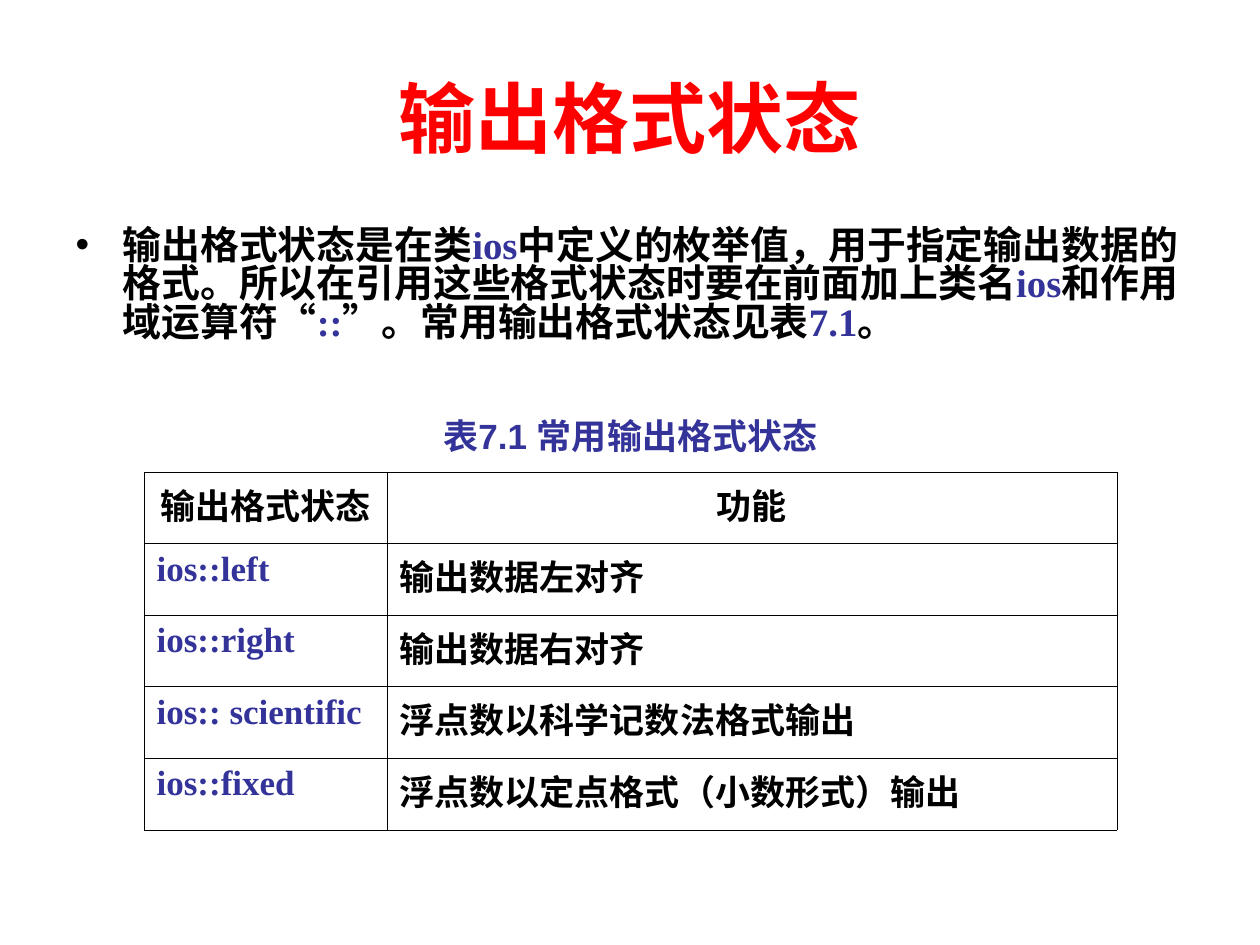
from dataclasses import dataclass

from lxml import etree
from pptx import Presentation
from pptx import util as u
from pptx.dml.color import RGBColor
from pptx.enum import text
from pptx.oxml import ns

SCALE = 914400 / 126
RED = RGBColor(0xFF, 0x00, 0x00)
BLUE = RGBColor(0x33, 0x33, 0x99)
BLACK = RGBColor(0x00, 0x00, 0x00)
SERIF = "Times New Roman"
SANS = "Arial"
ALIGN = text.PP_ALIGN


@dataclass(frozen=True)
class Box:
    left: int
    top: int
    width: int
    height: int


@dataclass(frozen=True)
class Run:
    words: str
    color: RGBColor = BLACK
    size: float = 20
    font: str = SERIF


TITLE_BOX = Box(63, 38, 1134, 158)
BODY_BOX = Box(63, 222, 1134, 183)
CAPTION_BOX = Box(146, 408, 969, 55)
TABLE_BOX = Box(144, 472, 973, 358)
COLUMNS = (243, 730)
BODY = (
    ("输出格式状态是在类", BLACK),
    ("ios", BLUE),
    ("中定义的枚举值，用于指定输出数据的格式。所以在引用这些格式状态时要在前面加上类名", BLACK),
    ("ios", BLUE),
    ("和作用域运算符“", BLACK),
    ("::", BLUE),
    ("”。常用输出格式状态见表", BLACK),
    ("7.1", BLUE),
    ("。", BLACK),
)
ROWS = (
    ("输出格式状态", "功能"),
    ("ios::left", "输出数据左对齐"),
    ("ios::right", "输出数据右对齐"),
    ("ios:: scientific", "浮点数以科学记数法格式输出"),
    ("ios::fixed", "浮点数以定点格式（小数形式）输出"),
)


def px(n: int) -> u.Emu:
    return u.Emu(round(n * SCALE))


def frame(box: Box) -> tuple:
    return px(box.left), px(box.top), px(box.width), px(box.height)


def place(sp, box: Box) -> None:
    sp.left, sp.top, sp.width, sp.height = frame(box)


def write(p, runs: list[Run], align) -> None:
    p.alignment = align
    for run in runs:
        r = p.add_run()
        r.text = run.words
        r.font.name = run.font
        r.font.size = u.Pt(run.size)
        r.font.bold = True
        r.font.color.rgb = run.color


def add_bullet(p, indent: int) -> None:
    pPr = p._p.get_or_add_pPr()
    pPr.set("marL", str(px(indent)))
    pPr.set("indent", str(-px(indent)))
    color = etree.SubElement(pPr, ns.qn("a:buClr"))
    etree.SubElement(color, ns.qn("a:srgbClr"), val=str(BLACK))
    etree.SubElement(pPr, ns.qn("a:buFont"), typeface=SANS)
    etree.SubElement(pPr, ns.qn("a:buChar"), char="•")


def add_borders(cell) -> None:
    tcPr = cell._tc.get_or_add_tcPr()
    for i, side in enumerate(("lnL", "lnR", "lnT", "lnB")):
        ln = etree.Element(ns.qn(f"a:{side}"), w=str(u.Pt(0.45)))
        fill = etree.SubElement(ln, ns.qn("a:solidFill"))
        etree.SubElement(fill, ns.qn("a:srgbClr"), val=str(BLACK))
        tcPr.insert(i, ln)


def draw_title(s) -> None:
    sp = s.shapes.title
    place(sp, TITLE_BOX)
    tf = sp.text_frame
    tf.auto_size = text.MSO_AUTO_SIZE.NONE
    tf.vertical_anchor = text.MSO_ANCHOR.MIDDLE
    write(tf.paragraphs[0], [Run("输出格式状态", RED, 44)], ALIGN.CENTER)


def draw_body(s) -> None:
    sp = s.placeholders[1]
    place(sp, BODY_BOX)
    tf = sp.text_frame
    tf.auto_size = text.MSO_AUTO_SIZE.NONE
    p = tf.paragraphs[0]
    add_bullet(p, 47)
    p.space_before = u.Pt(0)
    p.space_after = u.Pt(6)
    p.line_spacing = 0.83
    write(p, [Run(words, color, 22.2) for words, color in BODY], ALIGN.LEFT)


def draw_caption(s) -> None:
    tf = s.shapes.add_textbox(*frame(CAPTION_BOX)).text_frame
    tf.word_wrap = True
    tf.vertical_anchor = text.MSO_ANCHOR.MIDDLE
    write(tf.paragraphs[0], [Run("表7.1 常用输出格式状态", BLUE, font=SANS)], ALIGN.CENTER)


def draw_table(s) -> None:
    table = s.shapes.add_table(len(ROWS), len(COLUMNS), *frame(TABLE_BOX)).table
    table.first_row = False
    table.horz_banding = False
    for column, width in zip(table.columns, COLUMNS):
        column.width = px(width)
    for i, row in enumerate(ROWS):
        for j, words in enumerate(row):
            cell = table.cell(i, j)
            cell.fill.background()
            add_borders(cell)
            color = BLUE if i and j == 0 else BLACK
            align = ALIGN.JUSTIFY if i else ALIGN.CENTER
            write(cell.text_frame.paragraphs[0], [Run(words, color)], align)


def main() -> None:
    prs = Presentation()
    prs.slide_width, prs.slide_height = px(1260), px(945)
    s = prs.slides.add_slide(prs.slide_layouts[1])
    draw_title(s)
    draw_body(s)
    draw_caption(s)
    draw_table(s)
    prs.save("out.pptx")


if __name__ == "__main__":
    main()
